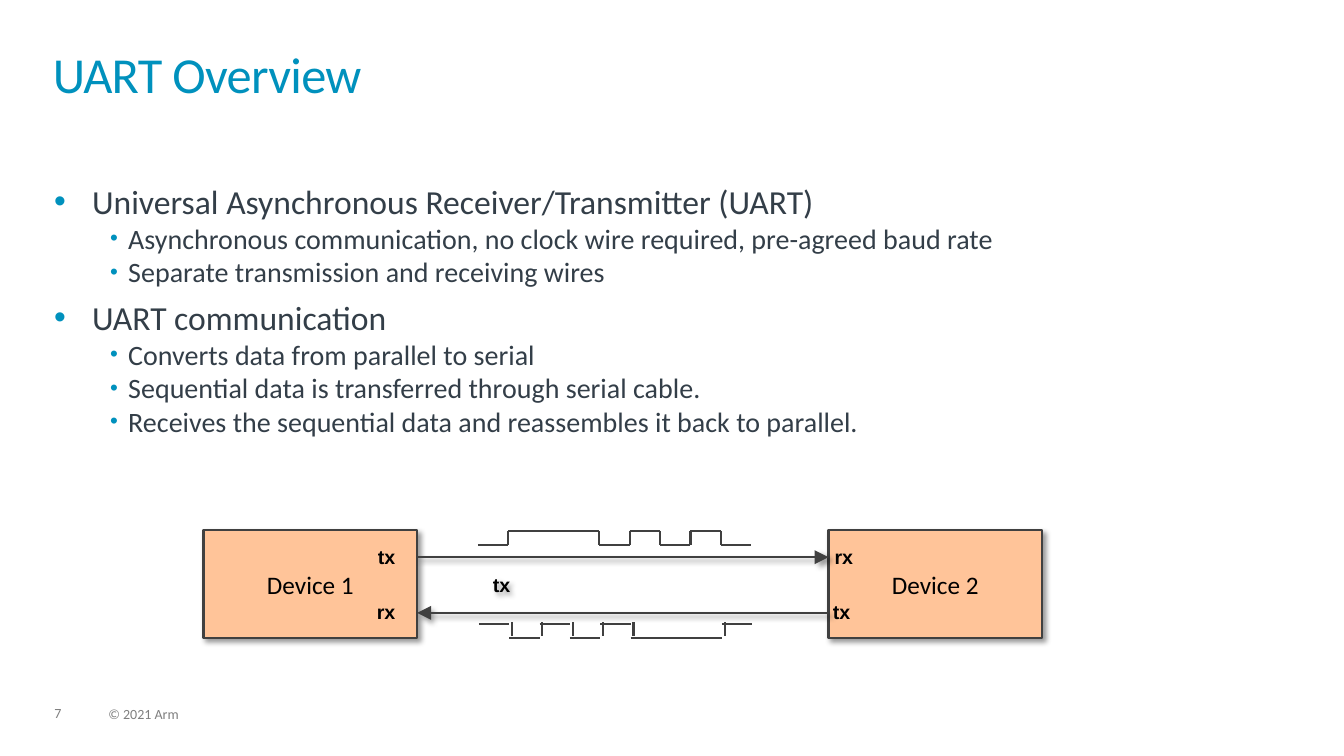
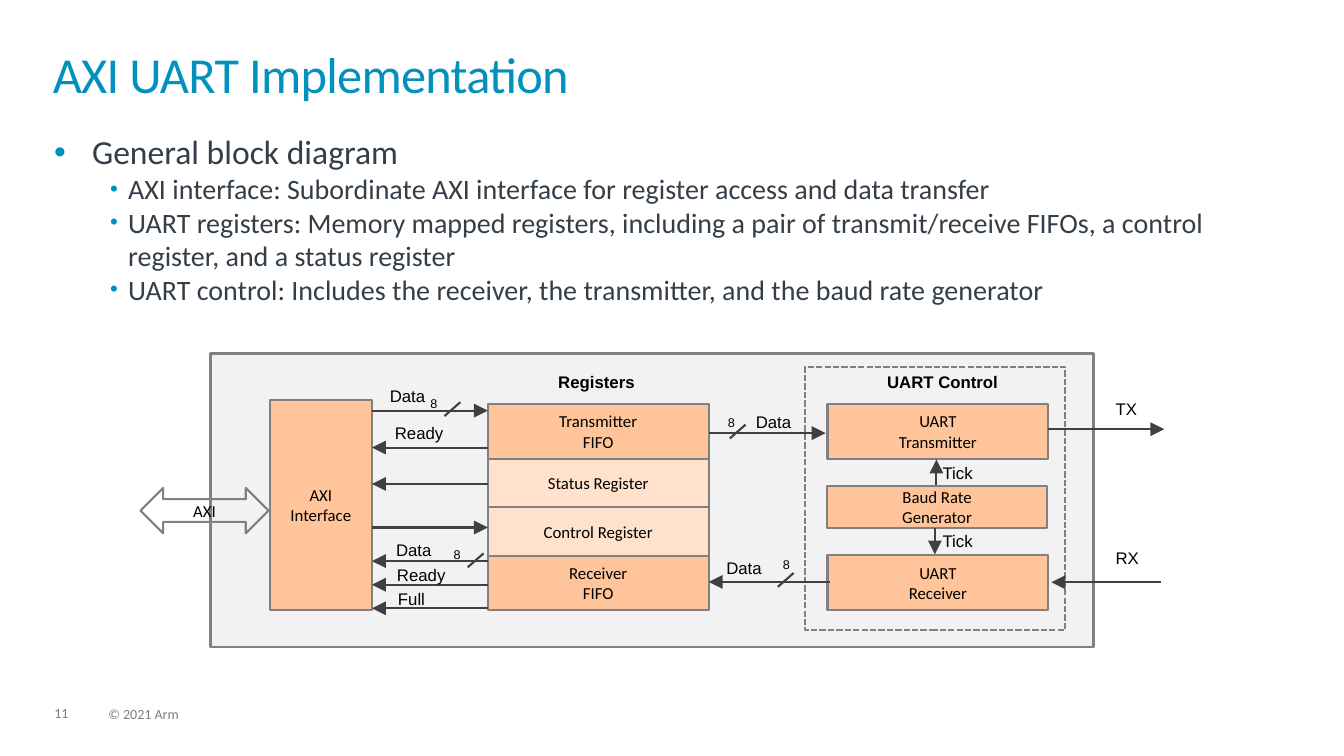
"""Build two UART slides: an overview and a block diagram of the AXI implementation."""
import dataclasses
import itertools
import typing

import lxml.etree
import pptx
import pptx.dml.color
import pptx.enum.dml
import pptx.enum.shapes
import pptx.enum.text
import pptx.oxml.ns
import pptx.shapes.base
import pptx.slide
import pptx.text.text
import pptx.util

Pt = pptx.util.Pt
qn = pptx.oxml.ns.qn
Align = pptx.enum.text.PP_ALIGN
Preset = pptx.enum.shapes.MSO_SHAPE


@dataclasses.dataclass(frozen=True)
class Theme:
    accent: str = "0091BD"
    body: str = "333E48"
    muted: str = "7F7F7F"
    black: str = "000000"
    wire: str = "404040"
    border: str = "808080"
    block: str = "FFC499"
    register: str = "FFE1CC"
    panel: str = "F2F2F2"
    text_font: str = "Calibri"
    label_font: str = "Arial"
    title_size: float = 36
    bullet_sizes: tuple[float, float] = (24, 20)
    device_size: float = 18
    pin_size: float = 14
    block_size: float = 12
    width_size: float = 9
    footer_size: float = 10
    stroke: float = 1.5


THEME = Theme()


class Bullet(typing.NamedTuple):
    text: str
    level: int = 1


class Block(typing.NamedTuple):
    text: str
    left: float
    top: float
    width: float
    height: float
    fill: str | None = THEME.block
    line: str = THEME.border
    stroke: float = THEME.stroke
    dashed: bool = False
    size: float = THEME.block_size
    preset: Preset = Preset.RECTANGLE
    shadow: bool = False


class Wire(typing.NamedTuple):
    x1: float
    y1: float
    x2: float
    y2: float
    arrow: bool = True
    shadow: bool = False


class Label(typing.NamedTuple):
    text: str
    left: float
    top: float
    size: float = THEME.block_size
    bold: bool = False
    width: float = 74.2
    align: Align = Align.LEFT
    shadow: bool = False


def rgb(colour: str) -> pptx.dml.color.RGBColor:
    """Turn a hex string into a colour."""
    return pptx.dml.color.RGBColor.from_string(colour)


def format_runs(para: pptx.text.text._Paragraph, size: float, colour: str,
                font: str = THEME.text_font, bold: bool = False) -> None:
    """Style every run of a paragraph."""
    for span in para.runs:
        span.font.name = font
        span.font.size = Pt(size)
        span.font.bold = bold
        span.font.color.rgb = rgb(colour)


def set_effects(shape: pptx.shapes.base.BaseShape, shadow: bool) -> None:
    """Replace the inherited effects by a soft drop shadow or by none."""
    effects = lxml.etree.SubElement(shape._element.spPr, qn("a:effectLst"))
    if shadow:
        outer = lxml.etree.SubElement(effects, qn("a:outerShdw"), blurRad=str(Pt(4)),
                                      dist=str(Pt(3)), dir=str(45 * 60000))
        colour = lxml.etree.SubElement(outer, qn("a:srgbClr"), val=THEME.black)
        lxml.etree.SubElement(colour, qn("a:alpha"), val="40000")


def add_text(page: pptx.slide.Slide, left: float, top: float, width: float, height: float,
             text: str, inset: bool = False) -> pptx.shapes.base.BaseShape:
    """Add a wrapping text box, with or without the default inner margins."""
    box = page.shapes.add_textbox(Pt(left), Pt(top), Pt(width), Pt(height))
    frame = box.text_frame
    frame.word_wrap = True
    if not inset:
        frame.margin_left = frame.margin_right = frame.margin_top = frame.margin_bottom = 0
    frame.text = text
    return box


def add_label(page: pptx.slide.Slide, label: Label) -> None:
    """Write a short diagram label."""
    box = add_text(page, label.left, label.top, label.width, label.size + 9.6, label.text, True)
    para = box.text_frame.paragraphs[0]
    para.alignment = label.align
    format_runs(para, label.size, THEME.black, THEME.label_font, label.bold)
    set_effects(box, label.shadow)


def add_block(page: pptx.slide.Slide, block: Block) -> None:
    """Draw an outlined shape with centred text."""
    shape = page.shapes.add_shape(block.preset, Pt(block.left), Pt(block.top),
                                  Pt(block.width), Pt(block.height))
    if block.fill:
        shape.fill.solid()
        shape.fill.fore_color.rgb = rgb(block.fill)
    else:
        shape.fill.background()
    shape.line.color.rgb = rgb(block.line)
    shape.line.width = Pt(block.stroke)
    if block.dashed:
        shape.line.dash_style = pptx.enum.dml.MSO_LINE.SQUARE_DOT
    set_effects(shape, block.shadow)
    if block.text:
        frame = shape.text_frame
        frame.word_wrap = False
        frame.vertical_anchor = pptx.enum.text.MSO_ANCHOR.MIDDLE
        frame.text = block.text
        for para in frame.paragraphs:
            para.alignment = Align.CENTER
            format_runs(para, block.size, THEME.black)


def add_wire(page: pptx.slide.Slide, wire: Wire) -> None:
    """Draw a straight line, with an arrowhead at its end if wanted."""
    line = page.shapes.add_connector(pptx.enum.shapes.MSO_CONNECTOR.STRAIGHT, Pt(wire.x1),
                                     Pt(wire.y1), Pt(wire.x2), Pt(wire.y2))
    line.line.color.rgb = rgb(THEME.wire)
    line.line.width = Pt(THEME.stroke)
    if wire.arrow:
        lxml.etree.SubElement(line.line._get_or_add_ln(), qn("a:tailEnd"),
                              type="triangle", w="lg", len="lg")
    set_effects(line, wire.shadow)


def add_waveform(page: pptx.slide.Slide, left: float, high: float, bits: str,
                 edge_shift: tuple[float, float] = (0, 0)) -> None:
    """Draw a square wave with one equal slot per bit and its edges shifted."""
    slot, swing = 21.7, 9.7
    edge_x, edge_y = edge_shift
    start = left
    for bit, run in itertools.groupby(bits):
        end = start + slot * len(list(run))
        level = high + swing * (bit == "0")
        if start > left:
            add_wire(page, Wire(start + edge_x, high + edge_y,
                                start + edge_x, high + swing + edge_y, arrow=False))
        add_wire(page, Wire(start, level, end, level, arrow=False))
        start = end


def add_bullets(page: pptx.slide.Slide, top: float, bullets: list[Bullet]) -> None:
    """Write the two-level bullet list."""
    box = add_text(page, 38.6, top, 880.6, 321.8, "\n".join(item.text for item in bullets))
    for index, (para, item) in enumerate(zip(box.text_frame.paragraphs, bullets)):
        margin, hanging = ((27.2, 27.2), (53, 13))[item.level]
        para.level = item.level
        properties = para._p.get_or_add_pPr()
        properties.set("marL", str(Pt(margin)))
        properties.set("indent", str(-Pt(hanging)))
        colour = lxml.etree.SubElement(properties, qn("a:buClr"))
        lxml.etree.SubElement(colour, qn("a:srgbClr"), val=THEME.accent)
        lxml.etree.SubElement(properties, qn("a:buSzPct"), val=("100000", "80000")[item.level])
        lxml.etree.SubElement(properties, qn("a:buFont"), typeface=THEME.label_font)
        lxml.etree.SubElement(properties, qn("a:buChar"), char="•")
        if index and item.level == 0:
            para.space_before = Pt(6)
        format_runs(para, THEME.bullet_sizes[item.level], THEME.body)


def start_page(deck: typing.Any, title: str, number: int) -> pptx.slide.Slide:
    """Add a slide with its title, number and copyright line."""
    page = deck.slides.add_slide(deck.slide_layouts[5])
    box = page.shapes.title
    box.left, box.top, box.width, box.height = Pt(37.7), Pt(37.5), Pt(884), Pt(52)
    frame = box.text_frame
    frame.margin_left = frame.margin_right = frame.margin_top = frame.margin_bottom = 0
    frame.vertical_anchor = pptx.enum.text.MSO_ANCHOR.TOP
    frame.auto_size = pptx.enum.text.MSO_AUTO_SIZE.NONE
    frame.text = title
    para = frame.paragraphs[0]
    para.alignment = Align.LEFT
    para.line_spacing = 0.85
    format_runs(para, THEME.title_size, THEME.accent)
    para.runs[0].font._element.set("spc", "-50")
    for text, left, top, width in ((str(number), 38.9, 504.7, 24.5),
                                   ("© 2021 Arm", 77.4, 505.1, 365)):
        footer = add_text(page, left, top, width, 10.8, text).text_frame.paragraphs[0]
        footer.line_spacing = 0.9
        format_runs(footer, THEME.footer_size, THEME.muted)
    return page


def build_overview(deck: typing.Any) -> None:
    """Build the slide with two devices joined by serial wires."""
    page = start_page(deck, "UART Overview", 7)
    add_bullets(page, 129.2, [
        Bullet("Universal Asynchronous Receiver/Transmitter (UART)", 0),
        Bullet("Asynchronous communication, no clock wire required, pre-agreed baud rate"),
        Bullet("Separate transmission and receiving wires"),
        Bullet("UART communication", 0),
        Bullet("Converts data from parallel to serial"),
        Bullet("Sequential data is transferred through serial cable."),
        Bullet("Receives the sequential data and reassembles it back to parallel."),
    ])
    first, second, width = 145.4, 591.8, 152.6
    for text, left in (("Device 1", first), ("Device 2", second)):
        add_block(page, Block(text, left, 378.7, width, 77, line=THEME.wire,
                              size=THEME.device_size, shadow=True))
    add_wire(page, Wire(first + width, 398, second, 398, shadow=True))
    add_wire(page, Wire(second, 437.8, first + width, 437.8, shadow=True))
    add_waveform(page, 341.3, 379.3, "011101010")
    add_waveform(page, 342, 445.8, "101010001", (2, -1.4))
    for text, left, top in (("tx", 262.8, 385.9), ("rx", 262.1, 424.8),
                            ("rx", 589, 385.9), ("tx", 587.8, 424.8)):
        add_label(page, Label(text, left, top, THEME.pin_size, True, 54))
    add_label(page, Label("tx", 344.9, 405.4, THEME.pin_size, True, 54, shadow=True))


def build_implementation(deck: typing.Any) -> None:
    """Build the slide with the AXI UART block diagram."""
    page = start_page(deck, "AXI UART Implementation", 11)
    add_bullets(page, 93.8, [
        Bullet("General block diagram", 0),
        Bullet("AXI interface: Subordinate AXI interface for register access and data transfer"),
        Bullet("UART registers: Memory mapped registers, including a pair of transmit/receive "
               "FIFOs, a control register, and a status register"),
        Bullet("UART control: Includes the receiver, the transmitter, and the baud rate generator"),
    ])
    registers, control, width, fifo = 348.5, 591.1, 157.7, 39.4
    bus, registers_end = 265.7, registers + width
    for block in (
        Block("", 150.1, 252.7, 630.9, 209.5, THEME.panel, stroke=2),
        Block("", 575.2, 262.1, 185.6, 187.9, THEME.panel, dashed=True),
        Block("UART\nTransmitter", control, 288.4, width, fifo),
        Block("UART\nReceiver", control, 396.4, width, fifo),
        Block("Baud Rate\nGenerator", control - 0.6, 347, width, 30.2),
        Block("Transmitter\nFIFO", registers, 288.4, width, fifo),
        Block("Receiver\nFIFO", registers, 396.4, width, fifo),
        Block("Status Register", registers, 328, width, 34, THEME.register),
        Block("Control Register", registers, 362, width, 35, THEME.register),
        Block("AXI\nInterface", 192.6, 285.8, 73.1, 150),
        Block("AXI", 100.4, 348.5, 91.4, 32.4, None, preset=Preset.LEFT_RIGHT_ARROW),
    ):
        add_block(page, block)
    wires = [Wire(bus, y, registers, y) for y in (293.3, 376.8)]
    wires += [Wire(registers, y, bus, y) for y in (319.7, 345.7, 400.8, 417.7, 434.5)]
    wires += [
        Wire(registers_end, 309.4, 589.7, 309.4), Wire(592.6, 415.7, registers_end, 415.7),
        Wire(668.9, 346.3, 668.9, 328.3), Wire(667.8, 377.3, 667.8, 396),
        Wire(748.8, 306.6, 831.6, 306.6), Wire(829.4, 415.9, 751, 415.9),
    ]
    wires += [Wire(x, y, x + 11.3, y - 9.9, arrow=False) for x, y in (
        (521.3, 313.2), (555.6, 419.2), (317.5, 297.2), (334.1, 405.2))]
    for wire in wires:
        add_wire(page, wire)
    labels = [Label(*place) for place in (
        ("Data", 271.4, 271.7), ("Ready", 275, 298.1), ("Data", 275.8, 381.8),
        ("Ready", 276.5, 399.6), ("Full", 277.2, 416.9), ("Data", 532.8, 290.9),
        ("Data", 511.7, 395), ("Tick", 666.2, 326.9), ("Tick", 666.2, 375.8),
        ("TX", 789.8, 281.5), ("RX", 789.8, 387.9))]
    labels += [Label("8", x, y, THEME.width_size, width=40.3) for x, y in (
        (512.8, 293), (552.2, 394.6), (300.4, 279.6), (317, 387.4))]
    labels += [Label("Registers", 391.7, 262.1, bold=True),
               Label("UART Control", 619.9, 262.1, bold=True, width=100.1, align=Align.RIGHT)]
    for label in labels:
        add_label(page, label)


def main() -> None:
    """Build and save the deck."""
    deck = pptx.Presentation()
    deck.slide_width, deck.slide_height = Pt(960), Pt(540)
    build_overview(deck)
    build_implementation(deck)
    deck.save("out.pptx")


if __name__ == "__main__":
    main()
